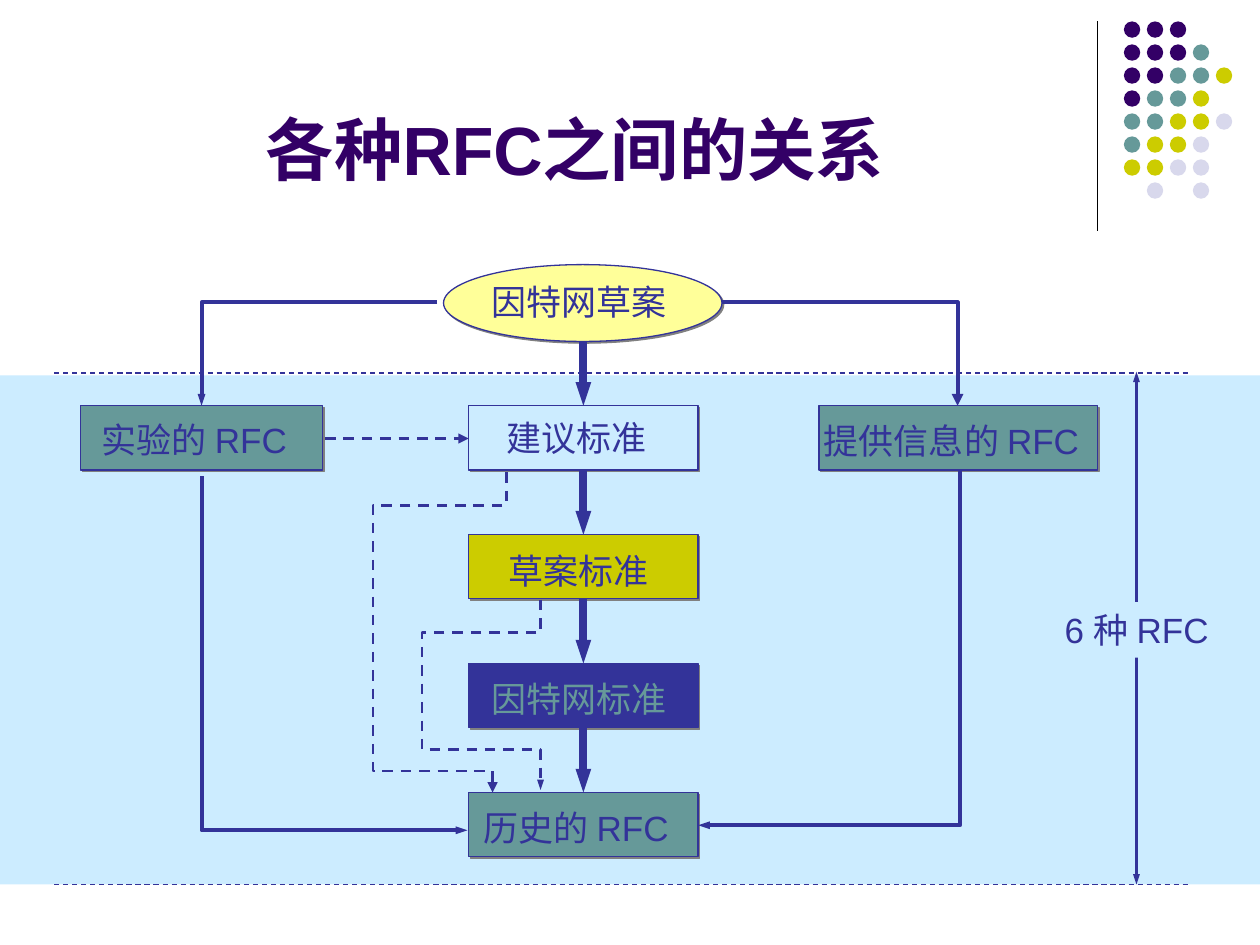
from dataclasses import dataclass
from lxml import etree
from pptx import Presentation
from pptx.dml.color import RGBColor
from pptx.enum.dml import MSO_LINE
from pptx.enum.shapes import MSO_CONNECTOR, MSO_SHAPE
from pptx.enum.text import MSO_ANCHOR, MSO_AUTO_SIZE, PP_ALIGN
from pptx.oxml.ns import qn
from pptx.util import Inches, Pt

RECTANGLE, OVAL = MSO_SHAPE.RECTANGLE, MSO_SHAPE.OVAL
STRAIGHT, DASH = MSO_CONNECTOR.STRAIGHT, MSO_LINE.DASH
BOTTOM, CENTER = MSO_ANCHOR.BOTTOM, PP_ALIGN.CENTER
FIT_SHAPE = MSO_AUTO_SIZE.SHAPE_TO_FIT_TEXT

PURPLE, TEAL, OLIVE, LAVENDER = "330066", "669999", "CCCC00", "D8D8EC"
NAVY, SKY, YELLOW, GRAY, BLACK = "333399", "CCECFF", "FFFF99", "808080", "000000"

AXIS = 4.63
ROW_TOP, ROW_HEIGHT = 3.22, 0.51
ROW_STEP = (6.29 - ROW_TOP) / 3
DOT_SIZE, DOT_STEP = 0.13, 0.73 / 4
DOT_COLORS = {"P": PURPLE, "T": TEAL, "O": OLIVE, "L": LAVENDER}
DOT_ROWS = ["PPP", "PPPT", "PPTTO", "PTTO", "TTOOL", "TOOL", "OOLL", " L L"]


@dataclass
class Node:
    left: float
    top: float
    width: float
    height: float
    fill: str
    kind: int = RECTANGLE


@dataclass
class Label:
    text: str
    left: float
    top: float
    width: float
    color: str = NAVY
    fill: str | None = None


@dataclass
class Route:
    points: list[tuple[float, float]]
    weight: float
    dashed: bool = False
    tail: str | None = None
    head: str | None = None
    color: str = NAVY


def rgb(value: str) -> RGBColor:
    return RGBColor.from_string(value)


def apply(target, values: dict) -> None:
    for name, value in values.items():
        setattr(target, name, value)


def draw_solid(shapes, node: Node):
    shape = shapes.add_shape(node.kind, Inches(node.left), Inches(node.top),
                             Inches(node.width), Inches(node.height))
    shape.shadow.inherit = False
    shape.fill.solid()
    shape.fill.fore_color.rgb = rgb(node.fill)
    shape.line.fill.background()
    return shape


def draw_node(page, node: Node) -> None:
    shape = draw_solid(page.shapes, node)
    shape.line.color.rgb = rgb(NAVY)
    shape.line.width = Pt(0.74)
    effects = shape._element.spPr.find(qn("a:effectLst"))
    shadow = etree.SubElement(effects, qn("a:outerShdw"), blurRad="0",
                              dist=str(Pt(1.4)), dir="2700000", algn="tl", rotWithShape="0")
    etree.SubElement(shadow, qn("a:srgbClr"), val=GRAY)


def draw_route(page, route: Route) -> None:
    points = [(Inches(x), Inches(y)) for x, y in route.points]
    if len(points) == 2:
        shape = page.shapes.add_connector(STRAIGHT, *points[0], *points[1])
    else:
        builder = page.shapes.build_freeform(*points[0])
        builder.add_line_segments(points[1:], close=False)
        shape = builder.convert_to_shape()
        shape.fill.background()
    shape.line.color.rgb = rgb(route.color)
    shape.line.width = Pt(route.weight)
    if route.dashed:
        shape.line.dash_style = DASH
    outline = shape.line._get_or_add_ln()
    for end, width in (("headEnd", route.head), ("tailEnd", route.tail)):
        if width:
            etree.SubElement(outline, qn(f"a:{end}"), type="triangle", w=width, len="med")
    etree.SubElement(shape._element.spPr, qn("a:effectLst"))


def write(box, text: str, size: float, color: str, bold: bool = False):
    para = box.text_frame.paragraphs[0]
    span = para.add_run()
    span.text = text
    apply(span.font, {"name": "Arial", "size": Pt(size), "bold": bold})
    span.font.color.rgb = rgb(color)
    return para


def draw_label(page, label: Label) -> None:
    box = page.shapes.add_textbox(Inches(label.left), Inches(label.top),
                                  Inches(label.width), Inches(0.44))
    apply(box.text_frame, {"word_wrap": False, "auto_size": FIT_SHAPE})
    if label.fill:
        box.fill.solid()
        box.fill.fore_color.rgb = rgb(label.fill)
    write(box, label.text, 20, label.color)


def draw_dots(page) -> None:
    group = page.shapes.add_group_shape()
    for row, codes in enumerate(DOT_ROWS):
        for column, code in enumerate(codes):
            if code in DOT_COLORS:
                draw_solid(group.shapes, Node(8.92 + column * DOT_STEP, 0.17 + row * DOT_STEP,
                                              DOT_SIZE, DOT_SIZE, DOT_COLORS[code], OVAL))


def draw_title(page) -> None:
    box = page.shapes.add_textbox(Inches(0.5), Inches(0.13), Inches(8.25), Inches(1.42))
    apply(box.text_frame, {"word_wrap": True, "vertical_anchor": BOTTOM})
    write(box, "各种RFC之间的关系 ", 39, PURPLE, True).alignment = CENTER


row_tops = [ROW_TOP + index * ROW_STEP for index in range(4)]
nodes = [Node(3.72, top, 1.82, ROW_HEIGHT, fill)
         for top, fill in zip(row_tops, (SKY, OLIVE, NAVY, TEAL))]
nodes += [
    Node(6.5, ROW_TOP, 2.21, ROW_HEIGHT, TEAL),
    Node(0.64, ROW_TOP, 1.92, ROW_HEIGHT, TEAL),
    Node(3.52, 2.1, 2.21, 0.61, YELLOW, OVAL),
]
routes = [Route([(AXIS, top - ROW_STEP + ROW_HEIGHT), (AXIS, top)], 4.51, tail="sm")
          for top in row_tops]
routes += [
    Route([(5.73, 2.4), (7.6, 2.4), (7.6, 3.22)], 2.24, tail="med"),
    Route([(3.47, 2.4), (1.6, 2.4), (1.6, 3.22)], 2.24, tail="sm"),
    Route([(1.6, 3.78), (1.6, 6.59), (3.71, 6.59)], 2.24, tail="sm"),
    Route([(7.62, 3.73), (7.62, 6.55), (5.54, 6.55)], 2.24, tail="sm"),
    Route([(2.58, 3.48), (3.72, 3.48)], 1.5, True, "med"),
    Route([(4.02, 3.75), (4.02, 4.01), (2.96, 4.01), (2.96, 6.12), (3.91, 6.12),
           (3.91, 6.29)], 1.5, True, "med"),
    Route([(4.29, 4.76), (4.29, 5.02), (3.35, 5.02), (3.35, 5.95), (4.29, 5.95),
           (4.29, 6.27)], 1.5, True, "sm"),
]
labels = [
    Label("因特网草案", 3.8, 2.18, 1.59),
    Label("建议标准", 3.92, 3.26, 1.31),
    Label("草案标准", 3.94, 4.31, 1.31),
    Label("因特网标准", 3.8, 5.33, 1.59, TEAL, NAVY),
    Label("历史的 RFC", 3.74, 6.35, 1.77),
    Label("实验的 RFC", 0.71, 3.27, 1.77),
    Label("提供信息的 RFC", 6.44, 3.28, 2.31),
]
bounds = [Route([(0.43, y), (9.44, y)], 0.74, True) for y in (2.96, 7.02)]
bounds.append(Route([(9.02, 2.95), (9.02, 7.02)], 1.5, tail="sm", head="sm"))

deck = Presentation()
apply(deck, {"slide_width": Inches(10), "slide_height": Inches(7.5)})
page = deck.slides.add_slide(deck.slide_layouts[6])

draw_route(page, Route([(8.71, 0.17), (8.71, 1.83)], 0.74, color=BLACK))
draw_dots(page)
draw_solid(page.shapes, Node(0, 2.98, 10, 4.04, SKY))
draw_title(page)
for node in nodes:
    draw_node(page, node)
for route in routes:
    draw_route(page, route)
for label in labels:
    draw_label(page, label)
for bound in bounds:
    draw_route(page, bound)
draw_label(page, Label("6 种 RFC", 8.35, 4.78, 1.48, fill=SKY))

deck.save("out.pptx")
